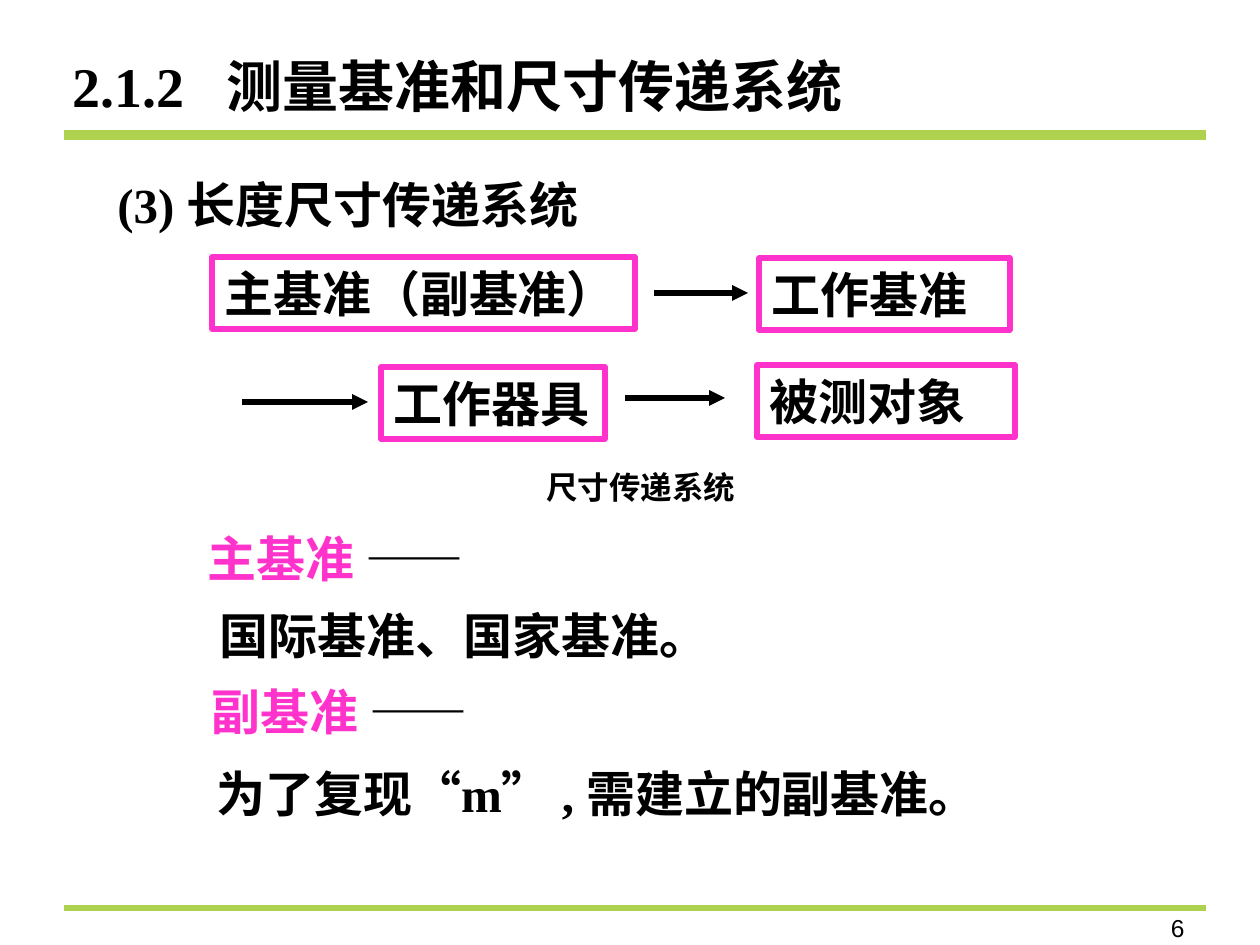
from dataclasses import dataclass

from lxml import etree
from pptx import Presentation
from pptx import util as u
from pptx.dml.color import RGBColor
from pptx.enum import shapes, text
from pptx.oxml.ns import qn

EMU_PER_PX = 914400 / 126


def px(length):
    return u.Emu(round(length * EMU_PER_PX))


@dataclass(frozen=True)
class Theme:
    ink: str = "000000"
    accent: str = "FF33CC"
    rule: str = "AFD24E"
    serif: str = "Times New Roman"
    sans: str = "Arial"
    title: int = 32
    body: int = 28
    caption: int = 18
    number: int = 14


class SlideBuilder:
    def __init__(self, slide, theme):
        self.slide = slide
        self.theme = theme

    def set_runs(self, shape, runs, size, wrap=True):
        """Fill a shape with one bold paragraph of (text, colour) runs."""
        frame = shape.text_frame
        frame.word_wrap = wrap
        frame.vertical_anchor = text.MSO_ANCHOR.TOP
        paragraph = frame.paragraphs[0]
        paragraph.alignment = text.PP_ALIGN.LEFT
        for content, color in runs:
            run = paragraph.add_run()
            run.text = content
            run.font.name = self.theme.serif
            run.font.size = u.Pt(size)
            run.font.bold = True
            run.font.color.rgb = RGBColor.from_string(color)
        return paragraph

    def label(self, left, top, width, height, runs, size):
        shape = self.slide.shapes.add_textbox(px(left), px(top), px(width), px(height))
        return self.set_runs(shape, runs, size)

    def title(self, left, top, width, height, number, heading, tab):
        paragraph = self.label(left, top, width, height,
                               [(f"{number}\t{heading}", self.theme.ink)], self.theme.title)
        tabs = etree.SubElement(paragraph._p.get_or_add_pPr(), qn("a:tabLst"))
        etree.SubElement(tabs, qn("a:tab"), pos=str(px(tab)), algn="l")

    def page_number(self, left, top, width, height, number):
        paragraph = self.label(left, top, width, height,
                               [(number, self.theme.ink)], self.theme.number)
        paragraph.alignment = text.PP_ALIGN.RIGHT
        font = paragraph.runs[0].font
        font.name = self.theme.sans
        font.bold = False

    def box(self, left, top, width, height, content, wrap=True):
        shape = self.slide.shapes.add_shape(
            shapes.MSO_SHAPE.RECTANGLE, px(left), px(top), px(width), px(height))
        shape.shadow.inherit = False
        shape.fill.background()
        shape.line.color.rgb = RGBColor.from_string(self.theme.accent)
        shape.line.width = u.Pt(3)
        self.set_runs(shape, [(content, self.theme.ink)], self.theme.body, wrap)

    def line(self, left, right, y, color, weight):
        connector = self.slide.shapes.add_connector(
            shapes.MSO_CONNECTOR.STRAIGHT, px(left), px(y), px(right), px(y))
        connector.line.color.rgb = RGBColor.from_string(color)
        connector.line.width = u.Pt(weight)
        etree.SubElement(connector._element.spPr, qn("a:effectLst"))
        return connector

    def arrow(self, left, right, y):
        connector = self.line(left, right, y, self.theme.ink, 3)
        outline = connector._element.spPr.find(qn("a:ln"))
        etree.SubElement(outline, qn("a:tailEnd"), type="triangle")


def main():
    presentation = Presentation()
    presentation.slide_width, presentation.slide_height = px(1260), px(945)
    theme = Theme()
    builder = SlideBuilder(
        presentation.slides.add_slide(presentation.slide_layouts[6]), theme)

    # Page frame
    for y, weight in [(135, 6), (908, 3)]:
        builder.line(64, 1206, y, theme.rule, weight)
    builder.page_number(997, 907, 200, 38, "6")

    # Headings
    builder.title(60, 45, 827, 81, "2.1.2", "测量基准和尺寸传递系统", tab=154)
    builder.label(105, 168, 755, 72, [("(3) 长度尺寸传递系统", theme.ink)], theme.body)

    # Transfer chain
    for left, top, width, content, wrap in [
        (212, 257, 423, "主基准（副基准）", False),
        (759, 258, 251, "工作基准", True),
        (381, 367, 224, "工作器具", False),
        (757, 365, 258, "被测对象", True),
    ]:
        builder.box(left, top, width, 72, content, wrap)
    for left, right, y in [(654, 748, 293), (242, 368, 402), (625, 725, 398)]:
        builder.arrow(left, right, y)
    builder.label(534, 462, 246, 50, [("尺寸传递系统", theme.ink)], theme.caption)

    # Terms and their definitions
    for left, top, term in [(195, 522, "主基准"), (199, 675, "副基准")]:
        builder.label(left, top, 421, 72,
                      [(term, theme.accent), (" ——", theme.ink)], theme.body)
    for left, top, width, definition in [
        (207, 599, 582, "国际基准、国家基准。"),
        (204, 757, 811, "为了复现“m” , 需建立的副基准。"),
    ]:
        builder.label(left, top, width, 72, [(definition, theme.ink)], theme.body)

    presentation.save("out.pptx")


if __name__ == "__main__":
    main()
